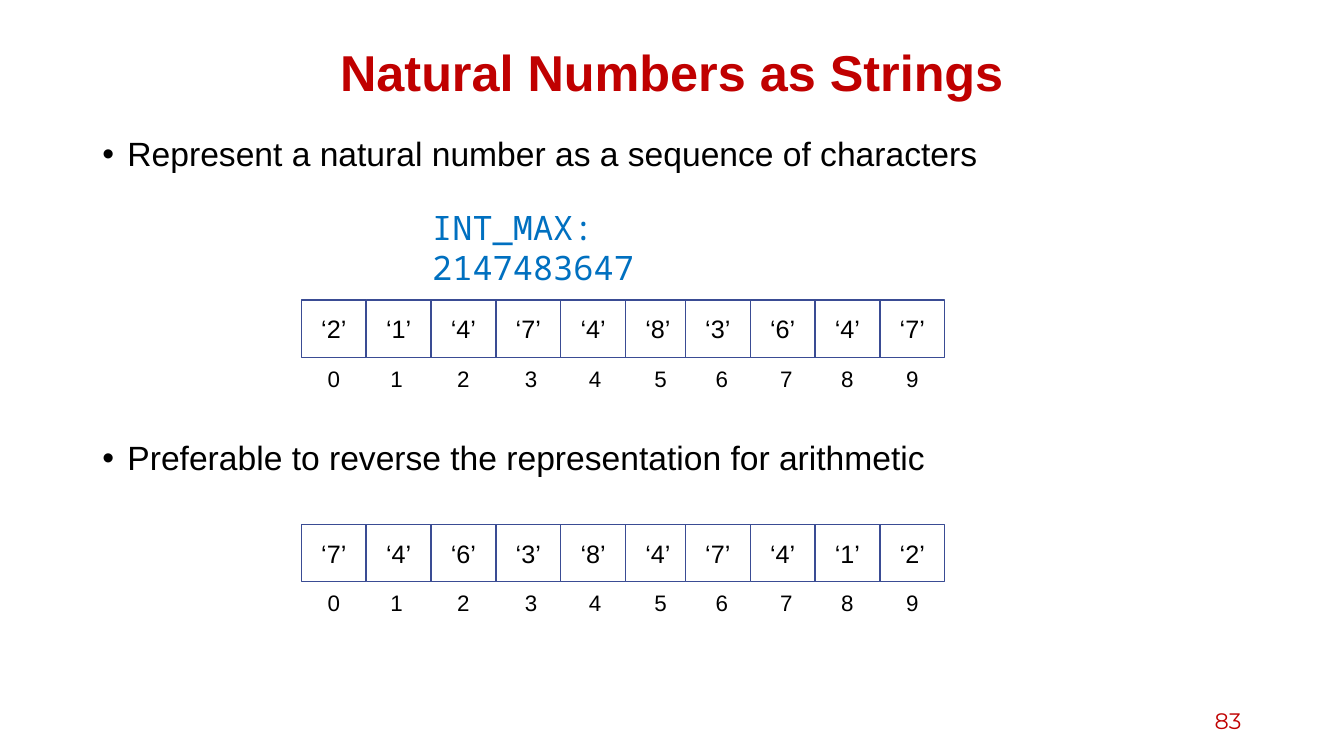
from lxml.etree import SubElement
from pptx import Presentation
from pptx.dml.color import RGBColor
from pptx.enum.shapes import MSO_SHAPE as Preset
from pptx.enum.text import MSO_ANCHOR as Anchor, MSO_AUTO_SIZE as AutoSize, PP_ALIGN as Align
from pptx.oxml.ns import qn
from pptx.util import Pt

RED, BLUE, BLACK = "C00000", "0070C0", "000000"
WHITE, BORDER = "FFFFFF", "3A4C94"

# Digit cells: a regular row, with the last four moved slightly left
ROW_LEFT, CELL_WIDTH, CELL_HEIGHT = 215.3, 46.3, 41
SHIFT_FROM, SHIFT = 6, 3.5
# Nudge of each index label from the centre of its cell
LABEL_NUDGES = (0, -1.5, 0, 2, 1.5, 2, 2.8, 2.6, 0, 0)
LABEL_WIDTH, LABEL_HEIGHT = 28.8, 26.6


def colour(value):
    return RGBColor.from_string(value)


class SlideBuilder:
    def __init__(self, page, font="Arial"):
        self.page = page
        self.font = font

    def add_span(self, para, text, size, ink=BLACK, font=None, bold=False, **layout):
        for name, value in layout.items():
            setattr(para, name, value)
        span = para.add_run()
        span.text = text
        style = {"name": font or self.font, "size": Pt(size), "bold": bold}
        for name, value in style.items():
            setattr(span.font, name, value)
        span.font.color.rgb = colour(ink)

    def text(self, area, text, size, parent=None, anchor=Anchor.TOP, grow=False, **style):
        box = (parent or self.page).shapes.add_textbox(*map(Pt, area))
        frame = box.text_frame
        settings = {
            "word_wrap": True,
            "vertical_anchor": anchor,
            "auto_size": AutoSize.SHAPE_TO_FIT_TEXT if grow else AutoSize.NONE,
        }
        for name, value in settings.items():
            setattr(frame, name, value)
        self.add_span(frame.paragraphs[0], text, size, **style)

    def bullets(self, area, items, size, gap):
        frame = self.page.shapes.add_textbox(*map(Pt, area)).text_frame
        frame.word_wrap = True
        for number, item in enumerate(items):
            para = frame.add_paragraph() if number else frame.paragraphs[0]
            layout = {"line_spacing": 0.9}
            if number:
                layout["space_before"] = Pt(gap)
            self.add_span(para, item, size, **layout)
            properties = para._p.get_or_add_pPr()
            properties.set("marL", str(Pt(18)))
            properties.set("indent", str(-Pt(18)))
            SubElement(properties, qn("a:buFont")).set("typeface", self.font)
            SubElement(properties, qn("a:buChar")).set("char", "•")

    def cell(self, parent, area, text):
        box = parent.shapes.add_shape(Preset.RECTANGLE, *map(Pt, area))
        box.shadow.inherit = False
        box.fill.solid()
        box.fill.fore_color.rgb = colour(WHITE)
        box.line.color.rgb = colour(BORDER)
        box.line.width = Pt(1)
        box.text_frame.vertical_anchor = Anchor.MIDDLE
        self.add_span(box.text_frame.paragraphs[0], text, 18, alignment=Align.CENTER)

    def digit_row(self, top, digits):
        group = self.page.shapes.add_group_shape()
        lefts = [ROW_LEFT + CELL_WIDTH * index - (SHIFT if index >= SHIFT_FROM else 0)
                 for index in range(len(digits))]
        for left, digit in zip(lefts, digits):
            self.cell(group, (left, top, CELL_WIDTH, CELL_HEIGHT), f"‘{digit}’")
        for index, (left, nudge) in enumerate(zip(lefts, LABEL_NUDGES)):
            label_left = left + (CELL_WIDTH - LABEL_WIDTH) / 2 + nudge
            area = (label_left, top + 42.8, LABEL_WIDTH, LABEL_HEIGHT)
            self.text(area, str(index), 16, parent=group, grow=True, alignment=Align.CENTER)


def main():
    deck = Presentation()
    deck.slide_width, deck.slide_height = Pt(960), Pt(540)
    builder = SlideBuilder(deck.slides.add_slide(deck.slide_layouts[6]))

    # Title, statements and page number
    builder.text((66, 28.8, 828, 50.4), "Natural Numbers as Strings", 36, anchor=Anchor.MIDDLE,
                 ink=RED, bold=True, alignment=Align.CENTER, line_spacing=0.9)
    builder.bullets((66, 95, 828, 396.7),
                    ["Represent a natural number as a sequence of characters",
                     "Preferable to reverse the representation for arithmetic"], 24, gap=191)
    builder.text((678, 500.4, 216, 28.8), "83", 16, anchor=Anchor.MIDDLE,
                 ink=RED, font="Montserrat", alignment=Align.RIGHT)

    # The number and its digits in both orders
    number = "2147483647"
    builder.text((301.7, 144, 275.8, 36), f"INT_MAX: {number}", 24, grow=True,
                 ink=BLUE, font="Noto Sans Mono")
    builder.digit_row(374.6, number[::-1])
    builder.digit_row(214.4, number)

    deck.save("out.pptx")


if __name__ == "__main__":
    main()
